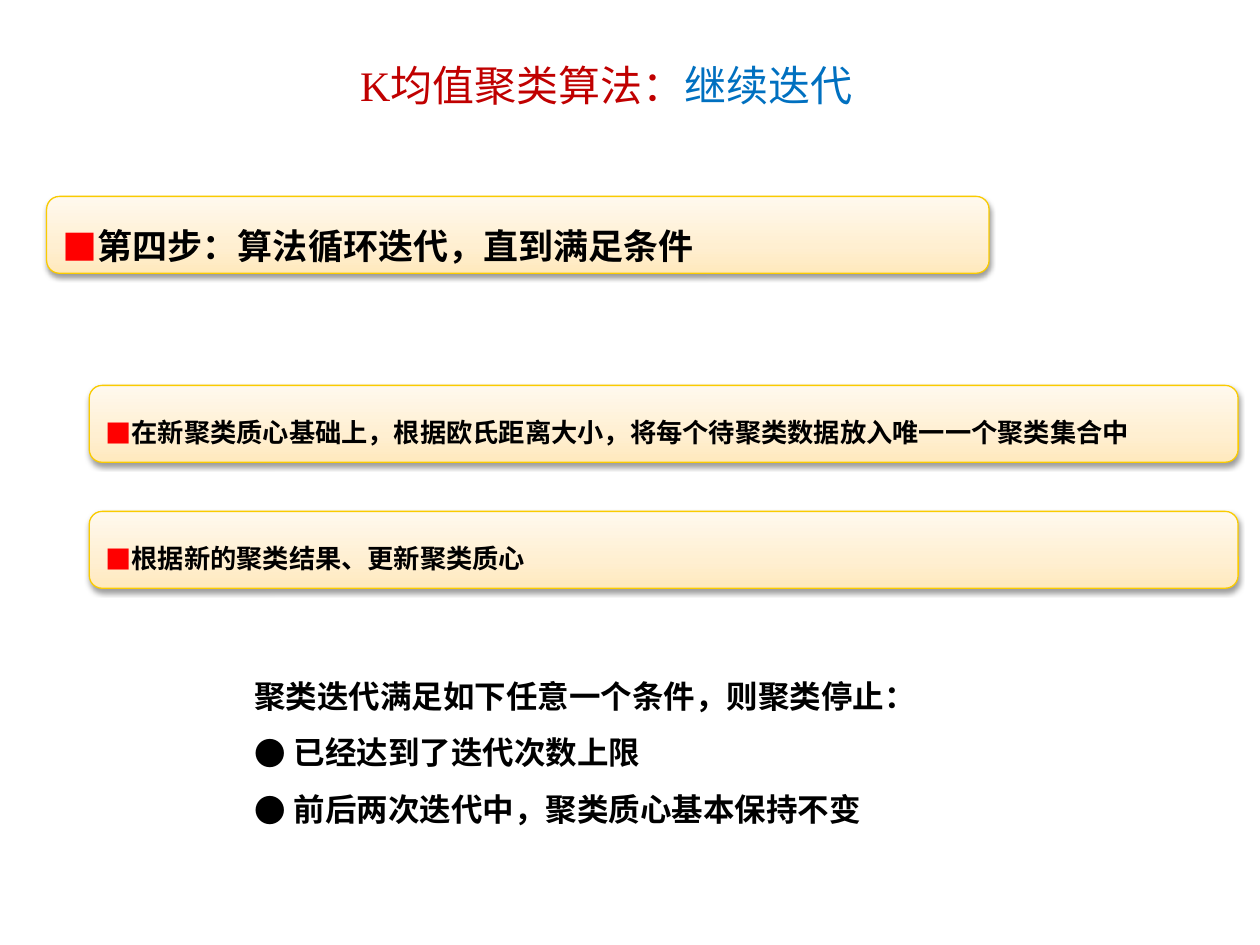
"""Build the slide on the iteration step of K-means clustering."""
from dataclasses import dataclass

from lxml import etree
from pptx import Presentation
from pptx.dml.color import RGBColor
from pptx.enum.shapes import MSO_SHAPE
from pptx.enum.text import MSO_ANCHOR, MSO_AUTO_SIZE, PP_ALIGN
from pptx.oxml import parse_xml
from pptx.oxml.ns import nsdecls, qn
from pptx.util import Cm, Pt

ROUNDED = MSO_SHAPE.ROUNDED_RECTANGLE
MIDDLE, TOP = MSO_ANCHOR.MIDDLE, MSO_ANCHOR.TOP
LEFT, CENTER = PP_ALIGN.LEFT, PP_ALIGN.CENTER
NO_AUTOFIT, GROW = MSO_AUTO_SIZE.NONE, MSO_AUTO_SIZE.SHAPE_TO_FIT_TEXT

CHINESE_FONT, LATIN_FONT = "Noto Sans CJK SC", "Times New Roman"
BLACK, RED, DARK_RED, BLUE, GOLD = "000000", "FF0000", "C00000", "0070C0", "FACB00"
GRADIENT = ((0, "FFE9BD"), (35, "FFEFD1"), (100, "FFF9EE"))
BANNER_HEIGHT = 1.55


@dataclass
class Banner:
    text: str
    left: float
    top: float
    width: float
    size: int


BANNERS = [
    Banner("第四步：算法循环迭代，直到满足条件", 0.94, 3.96, 19, 20),
    Banner("在新聚类质心基础上，根据欧氏距离大小，将每个待聚类数据放入唯一一个聚类集合中",
           1.8, 7.77, 23.16, 15),
    Banner("根据新的聚类结果、更新聚类质心", 1.8, 10.31, 23.16, 15),
]
TITLE_PARTS = [("K均值聚类算法：", DARK_RED), ("继续迭代", BLUE)]
CONDITIONS_HEADING = "聚类迭代满足如下任意一个条件，则聚类停止："
CONDITIONS = ["已经达到了迭代次数上限", "前后两次迭代中，聚类质心基本保持不变"]


def color(value: str) -> RGBColor:
    """Turn a hex string into a colour."""
    return RGBColor.from_string(value)


def place(shape, left: float, top: float, width: float, height: float) -> None:
    """Set position and size in centimetres."""
    shape.left, shape.top = Cm(left), Cm(top)
    shape.width, shape.height = Cm(width), Cm(height)


def set_margins(text_frame, top: float, bottom: float) -> None:
    """Set the inner margins of a text frame in centimetres."""
    text_frame.margin_left = text_frame.margin_right = Cm(0.25)
    text_frame.margin_top, text_frame.margin_bottom = Cm(top), Cm(bottom)


def format_run(run, size: int, value: str, font: str, bold: bool) -> None:
    """Set the font of one run for Latin and Chinese text."""
    run.font.size, run.font.bold, run.font.name = Pt(size), bold, font
    run.font.color.rgb = color(value)
    east_asian = etree.SubElement(run.font._element, qn("a:ea"))
    east_asian.set("typeface", CHINESE_FONT)


def set_bullet(paragraph, character: str, left: float, indent: float, value: str = BLACK) -> None:
    """Give a paragraph a bullet, or none for an empty character."""
    properties = paragraph._p.get_or_add_pPr()
    properties.set("marL", str(Cm(left)))
    properties.set("indent", str(Cm(indent)))
    if not character:
        etree.SubElement(properties, qn("a:buNone"))
        return
    bullet_color = etree.SubElement(properties, qn("a:buClr"))
    etree.SubElement(bullet_color, qn("a:srgbClr")).set("val", value)
    etree.SubElement(properties, qn("a:buFont")).set("typeface", CHINESE_FONT)
    etree.SubElement(properties, qn("a:buChar")).set("char", character)


def format_line(paragraph, size: int) -> None:
    """Apply the bold black style shared by all body lines."""
    paragraph.alignment = LEFT
    paragraph.line_spacing = 1.5
    paragraph.space_before = Pt(0)
    format_run(paragraph.runs[0], size, BLACK, CHINESE_FONT, True)


def style_banner(shape) -> None:
    """Apply the gradient, gold outline and soft shadow."""
    shape.line.color.rgb = color(GOLD)
    shape.line.width = Pt(0.75)
    shape.shadow.inherit = False
    stops = "".join(f'<a:gs pos="{position * 1000}"><a:srgbClr val="{value}"/></a:gs>'
                    for position, value in GRADIENT)
    gradient = parse_xml(f'<a:gradFill {nsdecls("a")} rotWithShape="1"><a:gsLst>{stops}</a:gsLst>'
                         '<a:lin ang="16200000" scaled="1"/></a:gradFill>')
    properties = shape._element.spPr
    properties.find(qn("a:prstGeom")).addnext(gradient)
    properties.find(qn("a:effectLst")).append(parse_xml(
        f'<a:outerShdw {nsdecls("a")} blurRad="{Pt(3.1)}" dist="{Pt(1.6)}" dir="5400000" '
        f'rotWithShape="0"><a:srgbClr val="{BLACK}"><a:alpha val="38000"/></a:srgbClr>'
        '</a:outerShdw>'))


def add_banner(slide, banner: Banner) -> None:
    """Draw one rounded banner with its bulleted line."""
    shape = slide.shapes.add_shape(ROUNDED, Cm(banner.left), Cm(banner.top),
                                   Cm(banner.width), Cm(BANNER_HEIGHT))
    style_banner(shape)
    text_frame = shape.text_frame
    text_frame.word_wrap = False
    text_frame.vertical_anchor = MIDDLE
    set_margins(text_frame, 0, 0)
    text_frame.text = banner.text
    paragraph = text_frame.paragraphs[0]
    paragraph.level = 1
    set_bullet(paragraph, "■", 0, -1.22, RED)
    format_line(paragraph, banner.size)


def fill_title(title) -> None:
    """Write the two-coloured title."""
    place(title, 1.8, 0.71, 20.85, 1.83)
    text_frame = title.text_frame
    text_frame.auto_size = NO_AUTOFIT
    text_frame.vertical_anchor = MIDDLE
    set_margins(text_frame, 0.41, 0.13)
    paragraph = text_frame.paragraphs[0]
    paragraph.alignment = CENTER
    paragraph.line_spacing = 0.9
    for text, value in TITLE_PARTS:
        run = paragraph.add_run()
        run.text = text
        format_run(run, 24, value, LATIN_FONT, False)


def fill_conditions(body) -> None:
    """Write the list of stopping conditions."""
    place(body, 4.88, 13.13, 15.7, 3.53)
    text_frame = body.text_frame
    text_frame.auto_size = GROW
    text_frame.vertical_anchor = TOP
    set_margins(text_frame, 0.13, 0.13)
    text_frame.text = "\n".join([CONDITIONS_HEADING, *CONDITIONS])
    heading, *items = text_frame.paragraphs
    set_bullet(heading, "", 0, 0)
    for item in items:
        set_bullet(item, "●", 0.79, -0.79)
    for paragraph in text_frame.paragraphs:
        format_line(paragraph, 18)


def main() -> None:
    """Create and save the presentation."""
    presentation = Presentation()
    presentation.slide_width, presentation.slide_height = Cm(25.4), Cm(19.05)
    slide = presentation.slides.add_slide(presentation.slide_layouts[1])
    fill_title(slide.shapes.title)
    for banner in BANNERS:
        add_banner(slide, banner)
    fill_conditions(slide.placeholders[1])
    presentation.save("out.pptx")


if __name__ == "__main__":
    main()
